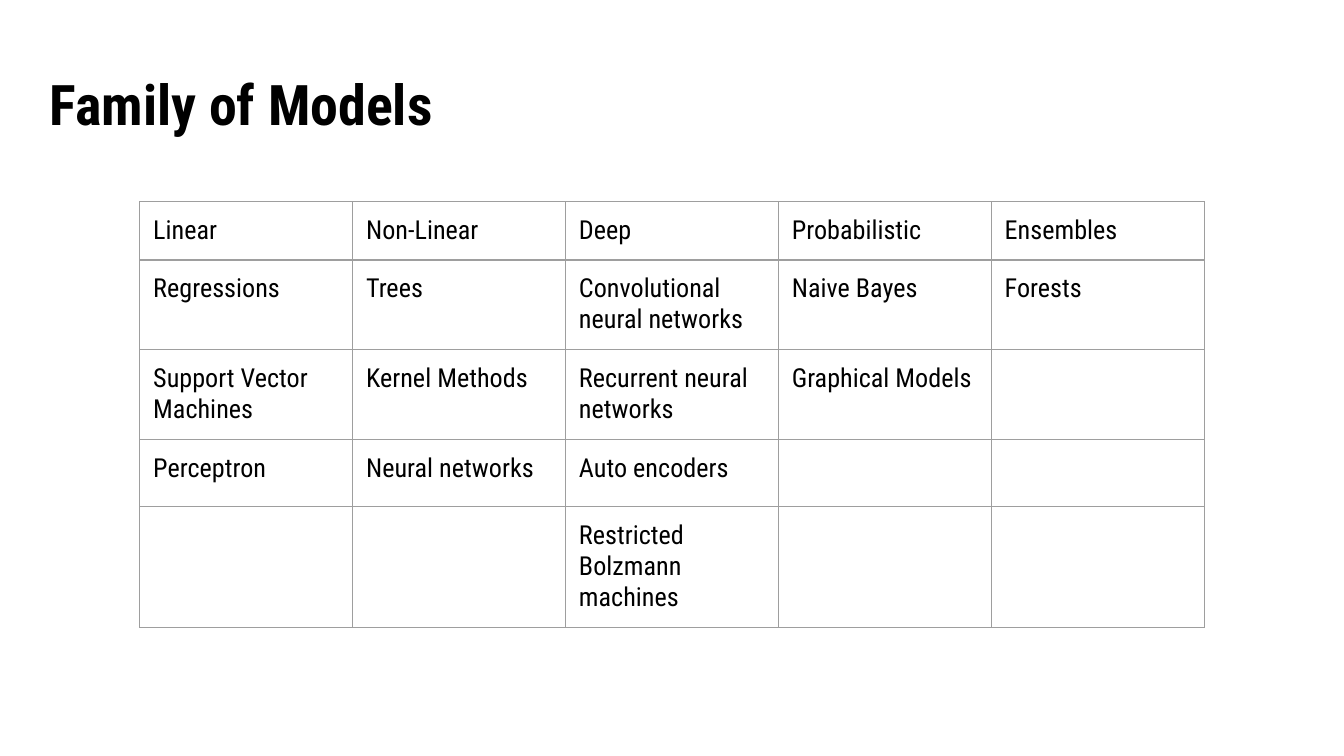
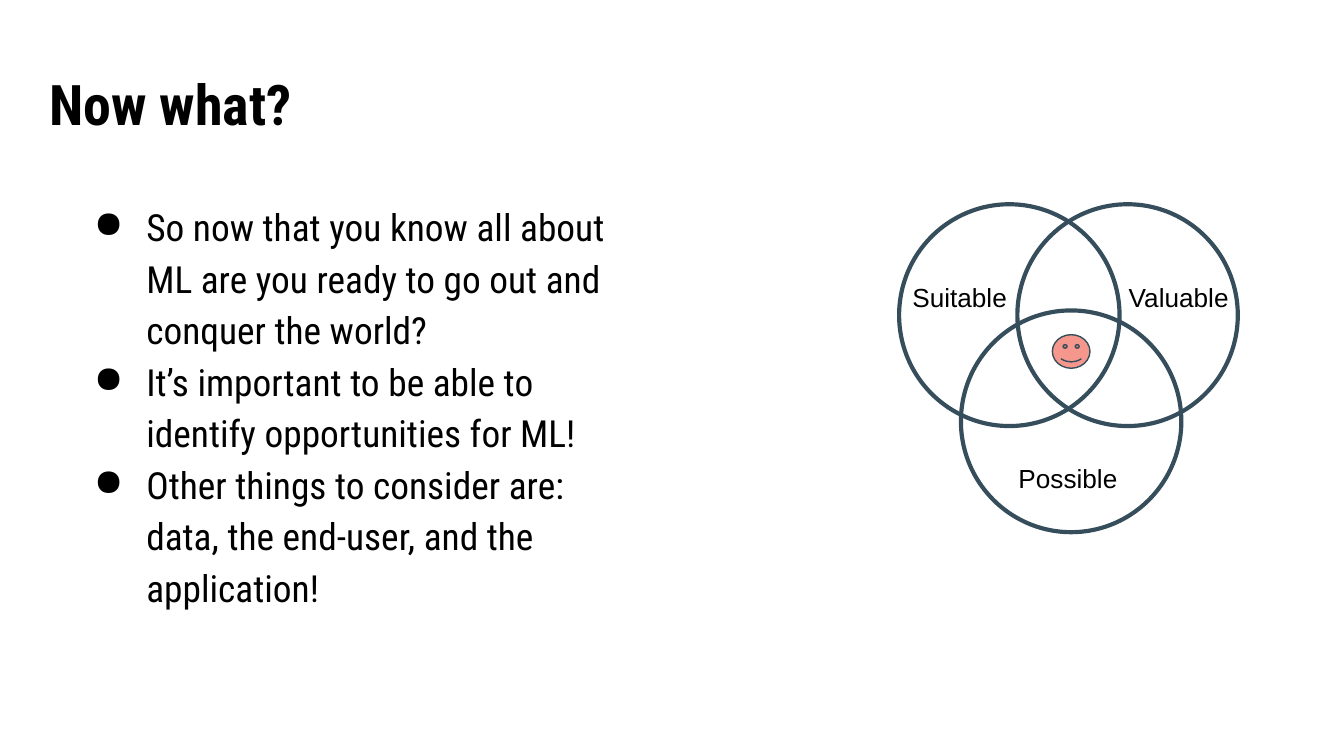
from dataclasses import dataclass
from typing import NamedTuple

from pptx import Presentation
from pptx.dml.color import RGBColor as RGB
from pptx.enum.shapes import MSO_SHAPE as SHAPE
from pptx.enum.text import MSO_ANCHOR as ANCHOR
from pptx.oxml import parse_xml
from pptx.oxml.ns import nsdecls
from pptx.util import Inches, Pt


@dataclass(frozen=True)
class Theme:
    """Colours, fonts, type sizes and line widths of the deck."""
    ink: str = "000000"
    grid: str = "9E9E9E"
    outline: str = "364D5B"
    accent: str = "F6978D"
    font: str = "Roboto Condensed"
    label_font: str = "Arial"
    title: int = 30
    body: int = 20
    small: int = 14
    thin: float = 0.75
    thick: float = 2.25


T = Theme()
UNIT = Inches(0.1)
INSET = Inches(0.1)


class Box(NamedTuple):
    """Area on a grid of 100 columns whose square cells also set the rows."""
    x: float
    y: float
    w: float
    h: float

    def sub(self, col, row, w, h):
        """Return an area placed relative to this one."""
        return Box(self.x + col, self.y + row, w, h)

    def emu(self):
        """Return left, top, width and height as slide lengths."""
        return [round(v * UNIT) for v in self]


def set_insets(target):
    """Give a text frame or cell the same inset on all four sides."""
    target.margin_left = target.margin_right = INSET
    target.margin_top = target.margin_bottom = INSET


def write(p, text, size=T.small, font=T.font, bold=False):
    """Add one formatted run to a paragraph."""
    r = p.add_run()
    r.text = text
    r.font.size, r.font.name, r.font.bold = Pt(size), font, bold
    r.font.color.rgb = RGB.from_string(T.ink)


def add_text(s, box, *texts, anchor=ANCHOR.TOP, bullet=None, spacing=None, **fmt):
    """Add a text box with one paragraph for each text."""
    tf = s.shapes.add_textbox(*box.emu()).text_frame
    tf.word_wrap, tf.vertical_anchor = True, anchor
    set_insets(tf)
    for i, text in enumerate(texts):
        p = tf.add_paragraph() if i else tf.paragraphs[0]
        if spacing:
            p.line_spacing = spacing
        if bullet:
            add_bullet(p, bullet)
        write(p, text, **fmt)


def add_bullet(p, char):
    """Give a paragraph a hanging bullet."""
    pPr = p._p.get_or_add_pPr()
    pPr.set("marL", str(Inches(0.5)))
    pPr.set("indent", str(Inches(-0.39)))
    pPr.append(parse_xml(f'<a:buClr {nsdecls("a")}><a:srgbClr val="{T.ink}"/></a:buClr>'))
    pPr.append(parse_xml(f'<a:buChar {nsdecls("a")} char="{char}"/>'))


def add_figure(s, kind, box, width, fill=None):
    """Add an outlined preset shape."""
    sp = s.shapes.add_shape(kind, *box.emu())
    sp.shadow.inherit = False
    sp.line.color.rgb, sp.line.width = RGB.from_string(T.outline), Pt(width)
    if fill:
        sp.fill.solid()
        sp.fill.fore_color.rgb = RGB.from_string(fill)
    else:
        sp.fill.background()
    return sp


def add_borders(cell):
    """Draw thin lines on all four sides of a cell."""
    tcPr = cell._tc.get_or_add_tcPr()
    for i, side in enumerate("LRTB"):
        tcPr.insert(i, parse_xml(
            f'<a:ln{side} {nsdecls("a")} w="{Pt(T.thin)}"><a:solidFill>'
            f'<a:srgbClr val="{T.grid}"/></a:solidFill></a:ln{side}>'))


def title_slide(prs, title, width):
    """Add a blank slide with the shared title."""
    s = prs.slides.add_slide(prs.slide_layouts[6])
    add_text(s, Box(2.7, 4.3, width, 6.8), title, anchor=ANCHOR.MIDDLE,
             size=T.title, bold=True)
    return s


def model_table(s, box, columns):
    """Add a table from a list of columns, each led by its heading."""
    n_rows = max(map(len, columns))
    table = s.shapes.add_table(n_rows, len(columns), *box.emu()).table
    table.first_row = table.horz_banding = False
    for col, names in enumerate(columns):
        for row in range(n_rows):
            cell = table.cell(row, col)
            set_insets(cell)
            cell.fill.background()
            add_borders(cell)
            if row < len(names):
                write(cell.text_frame.paragraphs[0], names[row])


def venn(s, box):
    """Add three overlapping circles with labels and a smiley in the middle."""
    for col, row in ((0, 0), (8.8, 0), (4.6, 7.9)):
        add_figure(s, SHAPE.OVAL, box.sub(col, row, 16.4, 16.5), T.thick)
    smiley = add_figure(s, SHAPE.SMILEY_FACE, box.sub(11.4, 9.7, 2.8, 2.5), T.thin, T.accent)
    smiley.adjustments[0] = 0.05
    for label, col, row in (("Suitable", 0, 4.7), ("Valuable", 16.1, 4.7),
                            ("Possible", 7.9, 18.2)):
        add_text(s, box.sub(col, row, 9.7, 3.1), label, font=T.label_font)


def models_slide(prs):
    """Build the overview of model families."""
    s = title_slide(prs, "Family of Models", 36.6)
    model_table(s, Box(10.4, 15, 79.2, 21), [
        ["Linear", "Regressions", "Support Vector Machines", "Perceptron"],
        ["Non-Linear", "Trees", "Kernel Methods", "Neural networks"],
        ["Deep", "Convolutional neural networks", "Recurrent neural networks",
         "Auto encoders", "Restricted Bolzmann machines"],
        ["Probabilistic", "Naive Bayes", "Graphical Models"],
        ["Ensembles", "Forests"],
    ])


def next_steps_slide(prs):
    """Build the closing points beside the diagram."""
    s = title_slide(prs, "Now what?", 84.6)
    add_text(s, Box(4.9, 13.7, 43.2, 35.1),
             "So now that you know all about ML are you ready to go out and conquer the world?",
             "It’s important to be able to identify opportunities for ML!",
             "Other things to consider are: data, the end-user, and the application!",
             bullet="●", spacing=1.15, size=T.body)
    venn(s, Box(66.9, 15.2, 25.8, 24.4))


def main():
    """Build and save the deck."""
    prs = Presentation()
    prs.slide_width = Inches(10)
    prs.slide_height = prs.slide_width * 9 // 16
    models_slide(prs)
    next_steps_slide(prs)
    prs.save("out.pptx")


if __name__ == "__main__":
    main()
